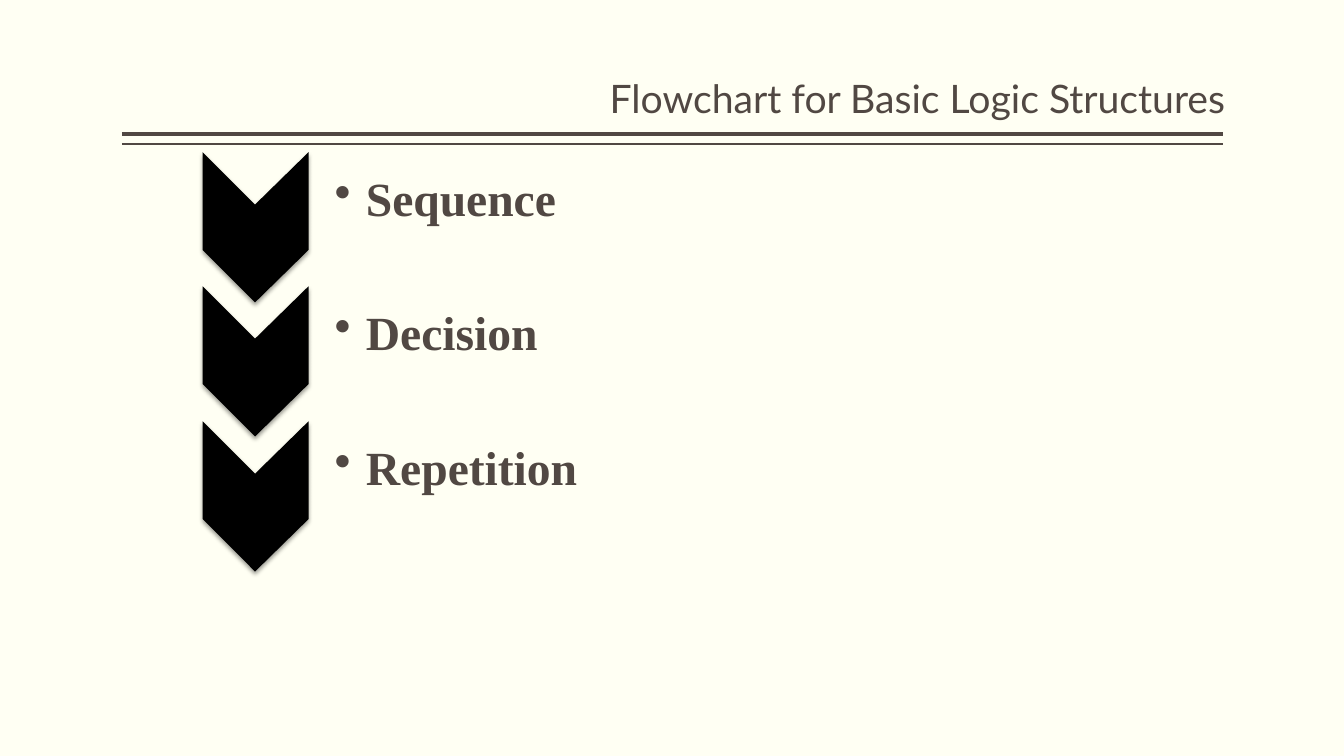
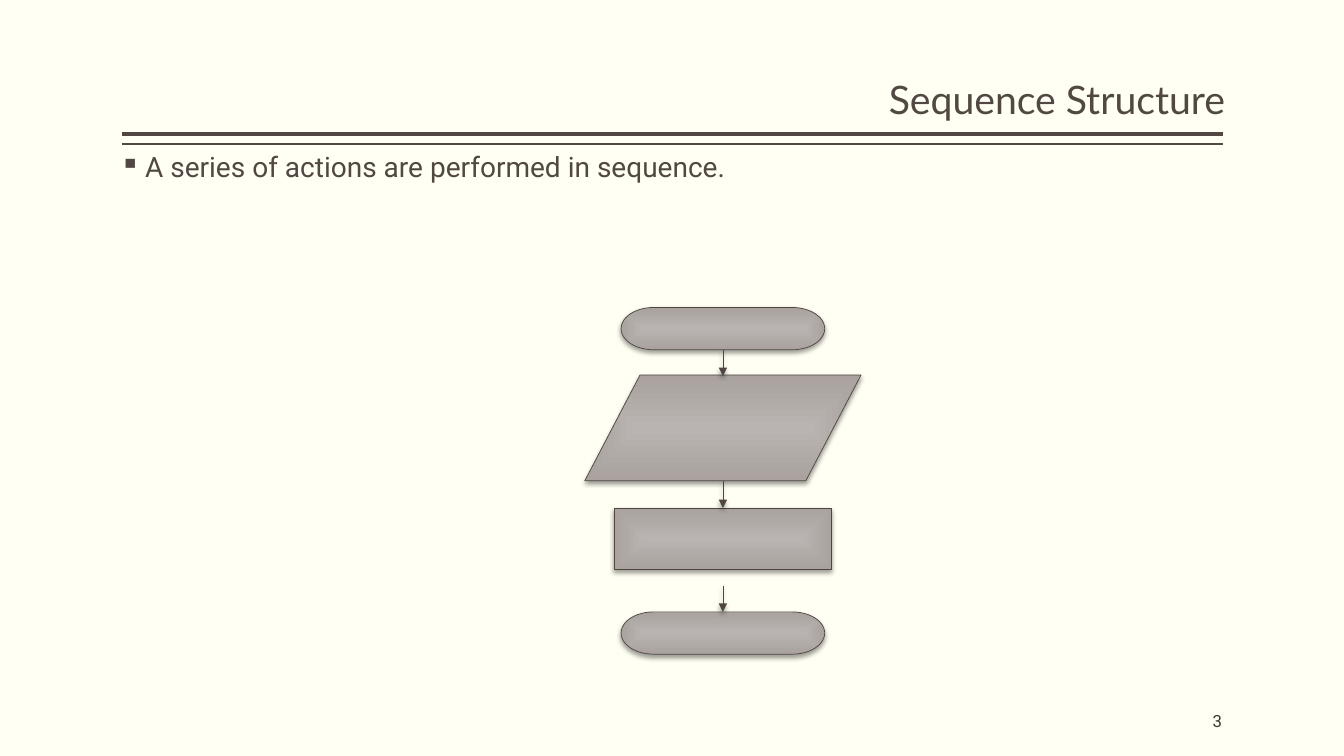
from lxml import etree
from pptx import Presentation
from pptx import util as u
from pptx.dml.color import RGBColor
from pptx.enum import shapes, text
from pptx.oxml.ns import qn

PX = 9144  # EMU in one px, 100 px to the inch
COLORS = {
    "paper": "FFFFF3", "ink": "514843", "number": "3D3632", "chevron": "000000",
    "edge": "504641", "centre": "B9B4B1", "rim": "A9A29E", "shadow": "000000",
}
TITLE = {"name": "Lato", "size": u.Pt(28), "color": "ink"}
TOPIC = {"name": "Times New Roman", "size": u.Pt(34), "bold": True, "color": "ink"}
BODY = {"name": "Roboto", "size": u.Pt(20), "color": "ink"}
NUMBER = {"name": "Roboto", "size": u.Pt(12), "color": "number"}

SHAPE = shapes.MSO_SHAPE
ANCHOR = text.MSO_ANCHOR
ALIGN = text.PP_ALIGN


def px(*lengths):
    return [u.Emu(length * PX) for length in lengths]


def rgb(name):
    return RGBColor.from_string(COLORS[name])


def child(parent, tag, **attributes):
    return etree.SubElement(parent, qn(tag), {k: str(v) for k, v in attributes.items()})


def set_shadow(shape, blur):
    """Replace the theme's shadow by a soft one straight below."""
    properties = shape._element.spPr
    effects = properties.find(qn("a:effectLst"))
    if effects is None:
        effects = child(properties, "a:effectLst")
    outer = child(effects, "a:outerShdw", blurRad=u.Pt(blur), dist=u.Pt(2),
                  dir=5400000, algn="ctr", rotWithShape=0)
    color = child(outer, "a:srgbClr", val=COLORS["shadow"])
    child(color, "a:alpha", val=38000)


def write(shape, words, style, insets=(0, 5, 0, 5), anchor=ANCHOR.TOP,
          align=ALIGN.LEFT, spacing=0.9, bullet=None, indent=0):
    frame = shape.text_frame
    frame.text = words
    sides = ("margin_left", "margin_top", "margin_right", "margin_bottom")
    settings = dict(zip(sides, px(*insets)), word_wrap=True, vertical_anchor=anchor,
                    auto_size=text.MSO_AUTO_SIZE.NONE)
    for key, value in settings.items():
        setattr(frame, key, value)
    paragraph = frame.paragraphs[0]
    paragraph.alignment = align
    paragraph.line_spacing = spacing
    font = paragraph.runs[0].font
    for key, value in style.items():
        if key == "color":
            font.color.rgb = rgb(value)
        else:
            setattr(font, key, value)
    if bullet:
        properties = paragraph._p.get_or_add_pPr()
        properties.set("marL", str(indent * PX))
        properties.set("indent", str(-indent * PX))
        child(properties, "a:buChar", char=bullet)


def add_line(slide, start, end, color, width):
    line = slide.shapes.add_connector(shapes.MSO_CONNECTOR.STRAIGHT, *px(*start, *end))
    line.line.color.rgb = rgb(color)
    line.line.width = u.Pt(width)
    child(line._element.spPr, "a:effectLst")
    return line


def add_titled_slide(prs, title, box):
    """Add a slide with the shared background, double rule and title."""
    slide = prs.slides.add_slide(prs.slide_layouts[5])
    slide.background.fill.solid()
    slide.background.fill.fore_color.rgb = rgb("paper")
    for y, width in ((133, 3), (143, 1)):
        add_line(slide, (121, y), (1213, y), "ink", width)
    heading = slide.shapes.title
    heading.left, heading.top, heading.width, heading.height = px(*box)
    write(heading, title, TITLE, anchor=ANCHOR.BOTTOM, align=ALIGN.RIGHT)
    return slide


def add_chevron(slide, left, top, width, height):
    depth = width // 2
    shoulder = height - depth
    middle = left + depth
    right = left + width
    builder = slide.shapes.build_freeform(right, top, scale=PX)
    builder.add_line_segments([
        (right, top + shoulder), (middle, top + height), (left, top + shoulder),
        (left, top), (middle, top + depth)])
    chevron = builder.convert_to_shape()
    chevron.shadow.inherit = False
    chevron.fill.solid()
    chevron.fill.fore_color.rgb = rgb("chevron")
    chevron.line.fill.background()
    set_shadow(chevron, 3.1)


def add_chevron_list(slide, left, top, width, topics):
    chevron_width, chevron_height, panel_height = 105, 149, 97
    for i, topic in enumerate(topics):
        y = top + i * 267 // 2
        add_chevron(slide, left, y, chevron_width, chevron_height)
        panel = slide.shapes.add_textbox(
            *px(left + chevron_width, y, width - chevron_width, panel_height))
        write(panel, topic, TOPIC, insets=(26, 7, 7, 7), anchor=ANCHOR.MIDDLE,
              bullet="•", indent=31)


def add_step(slide, kind, centre, top, width, height):
    step = slide.shapes.add_shape(kind, *px(centre - width // 2, top, width, height))
    step.shadow.inherit = False
    step.fill.gradient()
    for stop, position, color in zip(step.fill.gradient_stops, (0, 1), ("centre", "rim")):
        stop.position = position
        stop.color.rgb = rgb(color)
    gradient = step._element.spPr.find(qn("a:gradFill"))
    gradient.remove(gradient.find(qn("a:lin")))
    focus = child(gradient, "a:path", path="rect")
    child(focus, "a:fillToRect", l=50000, t=50000, r=50000, b=50000)
    step.line.color.rgb = rgb("edge")
    step.line.width = u.Pt(0.5)
    set_shadow(step, 3.5)
    return step


def add_arrow(slide, centre, top, source=None, target=None):
    arrow = add_line(slide, (centre, top), (centre, top + 26), "edge", 0.5)
    if source:
        arrow.begin_connect(source, 2)
    if target:
        arrow.end_connect(target, 0)
    child(arrow.line._get_or_add_ln(), "a:tailEnd", type="triangle")
    set_shadow(arrow, 3.5)


def add_sequence_chart(slide, centre, top):
    """Stack start, input, process and end downwards from top."""
    start, _, process, end = [
        add_step(slide, kind, centre, top + offset, width, height)
        for kind, offset, width, height in (
            (SHAPE.FLOWCHART_TERMINATOR, 0, 202, 42),
            (SHAPE.FLOWCHART_DATA, 67, 274, 105),
            (SHAPE.RECTANGLE, 199, 216, 61),
            (SHAPE.FLOWCHART_TERMINATOR, 302, 202, 42))]
    add_arrow(slide, centre, top + 42, source=start)
    add_arrow(slide, centre, top + 172, target=process)
    add_arrow(slide, centre, top + 276, target=end)


def build_structures_slide(prs):
    slide = add_titled_slide(prs, "Flowchart for Basic Logic Structures", (67, 24, 1148, 102))
    add_chevron_list(slide, 201, 151, 951, ("Sequence", "Decision", "Repetition"))


def build_sequence_slide(prs):
    slide = add_titled_slide(prs, "Sequence Structure", (250, 2, 965, 125))
    body = slide.shapes.add_textbox(*px(119, 147, 1183, 586))
    write(body, "A series of actions are performed in sequence.", BODY, bullet="▪", indent=25)
    add_sequence_chart(slide, 717, 305)
    number = slide.shapes.add_textbox(*px(1012, 695, 200, 40))
    write(number, "3", NUMBER, anchor=ANCHOR.MIDDLE, align=ALIGN.RIGHT, spacing=1.0)


def main():
    prs = Presentation()
    prs.slide_width, prs.slide_height = px(1333, 750)
    build_structures_slide(prs)
    build_sequence_slide(prs)
    prs.save("out.pptx")


if __name__ == "__main__":
    main()
